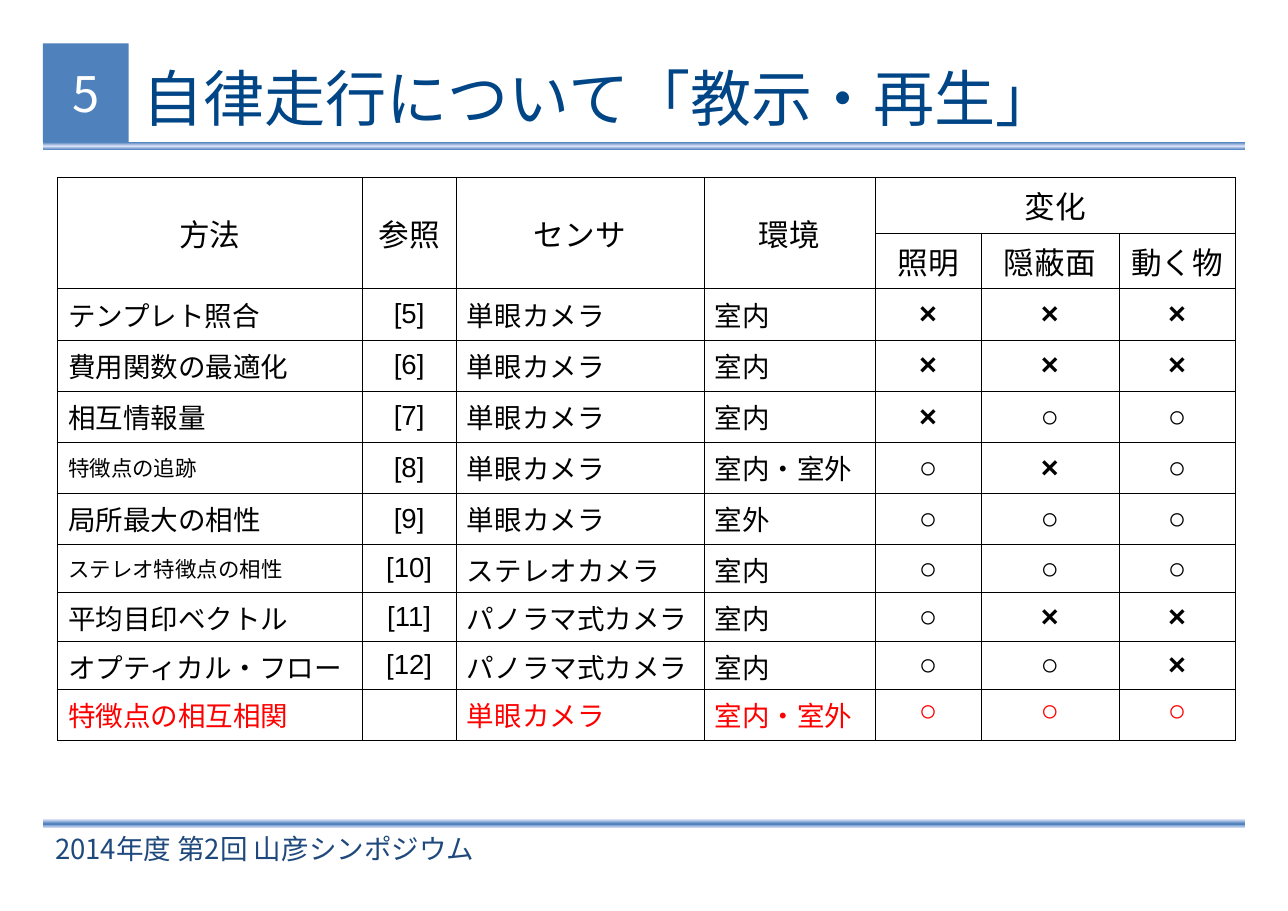
from copy import deepcopy

from lxml import etree
from pptx import Presentation
from pptx.dml.color import RGBColor
from pptx.enum.shapes import MSO_SHAPE
from pptx.enum.text import MSO_ANCHOR, PP_ALIGN
from pptx.oxml.ns import qn
from pptx.util import Inches, Pt

RECT = MSO_SHAPE.RECTANGLE
TOP, MIDDLE = MSO_ANCHOR.TOP, MSO_ANCHOR.MIDDLE
LEFT, CENTER = PP_ALIGN.LEFT, PP_ALIGN.CENTER
GRID_COLS, GRID_ROWS = 30, 21
BLUE, PALE, NAVY, TITLE_BLUE = "4F81BD", "DAE1F8", "1F497D", "004586"
BLACK, WHITE, RED = "000000", "FFFFFF", "FF0000"
SANS, SERIF, CJK = "Arial", "Times New Roman", "Noto Sans CJK JP"

COL_WIDTHS = [7.11, 2.18, 5.77, 4, 2.46, 3.21, 2.72]
ROW_HEIGHTS = [1.28] * 2 + [1.18] * 5 + [1.11] * 3 + [1.18]
HEADERS = ["方法", "参照", "センサ", "環境"]
CHANGES = ["照明", "隠蔽面", "動く物"]
METHODS = [
    ("テンプレト照合", "[5]", "単眼カメラ", "室内", "×××"),
    ("費用関数の最適化", "[6]", "単眼カメラ", "室内", "×××"),
    ("相互情報量", "[7]", "単眼カメラ", "室内", "×○○"),
    ("特徴点の追跡", "[8]", "単眼カメラ", "室内・室外", "○×○"),
    ("局所最大の相性", "[9]", "単眼カメラ", "室外", "○○○"),
    ("ステレオ特徴点の相性", "[10]", "ステレオカメラ", "室内", "○○○"),
    ("平均目印ベクトル", "[11]", "パノラマ式カメラ", "室内", "○××"),
    ("オプティカル・フロー", "[12]", "パノラマ式カメラ", "室内", "○○×"),
    ("特徴点の相互相関", "", "単眼カメラ", "室内・室外", "○○○"),
]
SMALL_METHODS = {"特徴点の追跡", "ステレオ特徴点の相性"}


def rgb(value):
    return RGBColor.from_string(value)


class SlideBuilder:
    def __init__(self, prs):
        self.s = prs.slides.add_slide(prs.slide_layouts[6])
        self.col = prs.slide_width / GRID_COLS
        self.row = prs.slide_height / GRID_ROWS

    def box(self, x, y, w, h):
        return int(x * self.col), int(y * self.row), int(w * self.col), int(h * self.row)

    def run(self, tf, text, size, color, font=CJK, east=CJK, align=LEFT, bold=False):
        p = tf.paragraphs[0]
        p.alignment = align
        r = p.add_run()
        r.text = text
        r.font.size, r.font.bold, r.font.name = Pt(size), bold, font
        r.font.color.rgb = rgb(color)
        latin = r.font._element.find(qn("a:latin"))
        latin.addnext(latin.makeelement(qn("a:ea"), {"typeface": east}))

    def rect(self, *at):
        sp = self.s.shapes.add_shape(RECT, *self.box(*at))
        sp.shadow.inherit = False
        sp.line.fill.background()
        return sp

    def badge(self, at, text):
        sp = self.rect(*at)
        sp.fill.solid()
        sp.fill.fore_color.rgb = rgb(BLUE)
        self.frame(sp.text_frame, 0)
        self.run(sp.text_frame, text, 32, WHITE, align=CENTER)

    def rule(self, at, edge, middle):
        sp = self.rect(*at)
        sp.fill.gradient()
        sp.fill.gradient_angle = 90
        first, last = sp.fill.gradient_stops
        first.color.rgb, last.color.rgb = rgb(edge), rgb(middle)
        first.position, last.position = 0, 0.5
        stops = sp._element.spPr.find(".//" + qn("a:gsLst"))
        end = deepcopy(stops[0])
        end.set("pos", "100000")
        stops.append(end)

    def frame(self, tf, margin_x, margin_y=0):
        tf.word_wrap = True
        tf.vertical_anchor = MIDDLE
        tf.margin_left = tf.margin_right = Inches(margin_x)
        tf.margin_top = tf.margin_bottom = Inches(margin_y)

    def text(self, at, text, size, color, font, margins):
        tf = self.s.shapes.add_textbox(*self.box(*at)).text_frame
        self.frame(tf, *margins)
        self.run(tf, text, size, color, font)

    def border(self, cell):
        tc_pr = cell._tc.get_or_add_tcPr()
        for i, side in enumerate(("lnL", "lnR", "lnT", "lnB")):
            ln = etree.Element(qn("a:" + side), w=str(int(Pt(0.06))))
            fill = etree.SubElement(ln, qn("a:solidFill"))
            etree.SubElement(fill, qn("a:srgbClr"), val=BLACK)
            tc_pr.insert(i, ln)

    def table(self, x, y, widths, heights):
        at = self.box(x, y, sum(widths), sum(heights))
        tbl = self.s.shapes.add_table(len(heights), len(widths), *at).table
        tbl.first_row = tbl.horz_banding = False
        for column, width in zip(tbl.columns, widths):
            column.width = int(width * self.col)
        for row, height in zip(tbl.rows, heights):
            row.height = int(height * self.row)
        for cell in tbl.iter_cells():
            cell.fill.background()
            cell.vertical_anchor = MIDDLE
            cell.margin_left = cell.margin_right = Inches(0.1)
            cell.margin_top = cell.margin_bottom = Inches(0.05)
            self.border(cell)
        return tbl

    def header(self, tbl):
        for c, text in enumerate(HEADERS):
            tbl.cell(0, c).merge(tbl.cell(1, c))
            self.run(tbl.cell(0, c).text_frame, text, 20, BLACK, SERIF, align=CENTER)
        first = len(HEADERS)
        tbl.cell(0, first).merge(tbl.cell(0, first + len(CHANGES) - 1))
        self.run(tbl.cell(0, first).text_frame, "変化", 20, BLACK, SERIF, align=CENTER)
        for c, text in enumerate(CHANGES, first):
            self.run(tbl.cell(1, c).text_frame, text, 20, BLACK, SERIF, align=CENTER)

    def method(self, tbl, row, entry, proposed):
        name, ref, sensor, place, marks = entry
        color = RED if proposed else BLACK
        body = SERIF if proposed else SANS
        sensor_font = SERIF if sensor == "単眼カメラ" else SANS
        cells = [tbl.cell(row, c) for c in range(len(COL_WIDTHS))]
        for cell in cells:
            cell.vertical_anchor = TOP if proposed else MIDDLE
        name_size = 14 if name in SMALL_METHODS else 18
        self.run(cells[0].text_frame, name, name_size, color, body)
        if ref:
            self.run(cells[1].text_frame, ref, 18, color, SANS, align=CENTER)
        self.run(cells[2].text_frame, sensor, 18, color, sensor_font)
        self.run(cells[3].text_frame, place, 18, color, body)
        for cell, mark in zip(cells[4:], marks):
            self.run(cell.text_frame, mark, 20, color, SANS, SANS, CENTER, True)


def main():
    prs = Presentation()
    prs.slide_width, prs.slide_height = Inches(11.69), Inches(8.27)
    slide = SlideBuilder(prs)
    slide.rule((1, 3.28, 28, 0.18), BLUE, PALE)
    slide.badge((1, 1, 2, 2.28), "5")
    slide.rule((1, 18.89, 28, 0.2), PALE, BLUE)
    slide.text((1.03, 19.1, 17.17, 0.91), "2014年度 第2回 山彦シンポジウム",
               18, NAVY, CJK, (0.1, 0.05))
    slide.text((3.31, 1.04, 24.92, 2.41), "自律走行について「教示・再生」",
               39.9, TITLE_BLUE, SANS, (0, 0))
    tbl = slide.table(1.33, 4.09, COL_WIDTHS, ROW_HEIGHTS)
    slide.header(tbl)
    for row, entry in enumerate(METHODS, 2):
        slide.method(tbl, row, entry, entry is METHODS[-1])
    prs.save("out.pptx")


if __name__ == "__main__":
    main()
